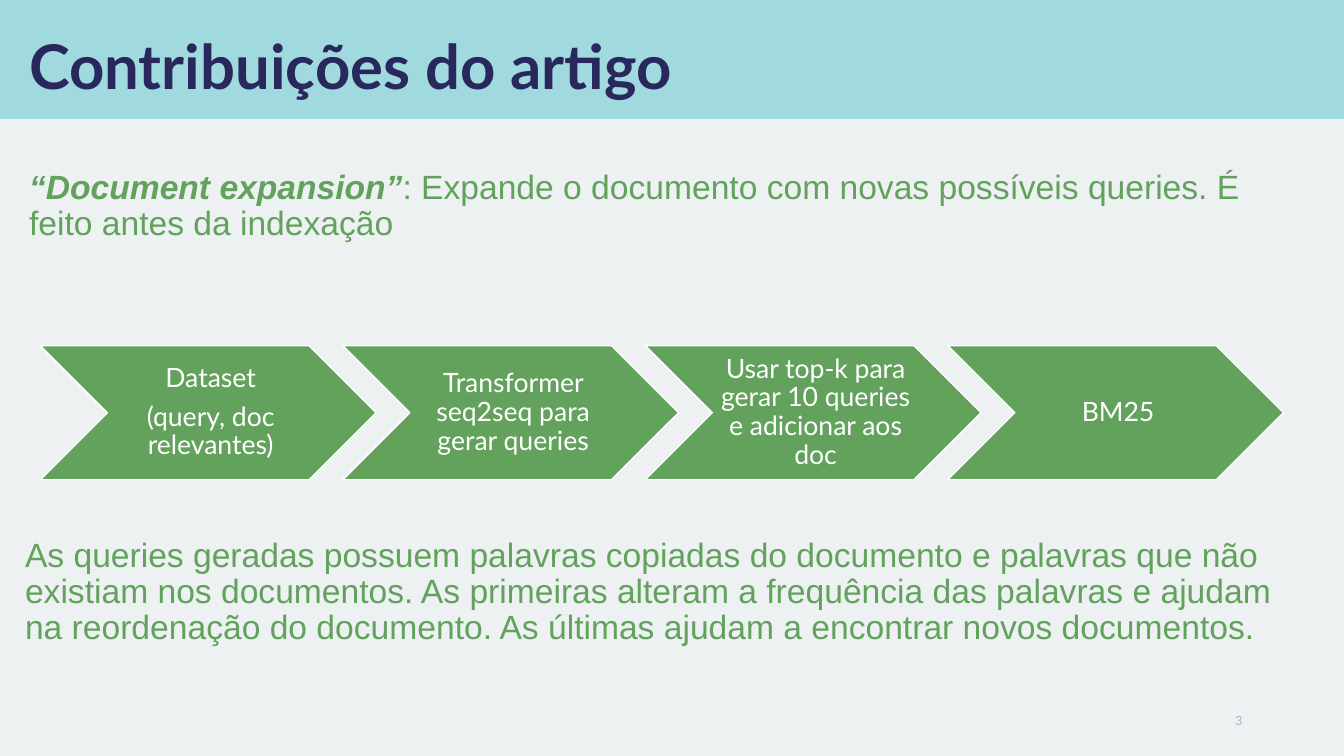
from dataclasses import dataclass, field

from pptx import Presentation
from pptx.dml.color import RGBColor
from pptx.enum.shapes import MSO_SHAPE as Preset
from pptx.enum.text import MSO_ANCHOR as Anchor, PP_ALIGN as Align
from pptx.shapes.autoshape import Shape
from pptx.slide import Slide
from pptx.text.text import TextFrame
from pptx.util import Inches, Pt

MIST = RGBColor(0xED, 0xF1, 0xF2)
AQUA = RGBColor(0xA0, 0xDA, 0xDE)
NAVY = RGBColor(0x29, 0x28, 0x5D)
GREEN = RGBColor(0x62, 0xA2, 0x5D)
GREY = RGBColor(0xA7, 0xBB, 0xC0)
WHITE = RGBColor(0xFF, 0xFF, 0xFF)


@dataclass(frozen=True)
class Box:
    left: float
    top: float
    width: float
    height: float

    def lengths(self) -> tuple[Inches, ...]:
        return tuple(Inches(n) for n in (self.left, self.top, self.width, self.height))


@dataclass(frozen=True)
class Style:
    size: float
    color: RGBColor
    font: dict = field(default_factory=dict)
    paragraph: dict = field(default_factory=dict)
    frame: dict = field(default_factory=dict)


@dataclass(frozen=True)
class Span:
    text: str
    font: dict = field(default_factory=dict)


@dataclass(frozen=True)
class TextBlock:
    box: Box
    style: Style
    spans: list[Span]


TITLE = Style(44, NAVY, {"name": "Lato", "bold": True},
              {"line_spacing": 0.9}, {"vertical_anchor": Anchor.BOTTOM})
BODY = Style(24, GREEN, {"name": "Arial"},
             {"line_spacing": 0.9, "space_before": Pt(10)})
PAGE_NUMBER = Style(9, GREY, {"name": "Lato"},
                    {"alignment": Align.RIGHT}, {"vertical_anchor": Anchor.MIDDLE})
STEP = Style(19, WHITE, {"name": "Lato"},
             {"alignment": Align.CENTER, "line_spacing": 0.9, "space_after": Pt(6.65)},
             {"vertical_anchor": Anchor.MIDDLE, "margin_left": Inches(0.08),
              "margin_top": Inches(0.03), "margin_right": Inches(0.03),
              "margin_bottom": Inches(0.03)})

HEADER = Box(0, 0, 13.33, 1.18)
FIRST_STEP = Box(0.4, 3.43, 3.33, 1.33)
STEP_PITCH = 3.0

STEPS = [
    ["Dataset", "(query, doc relevantes)"],
    ["Transformer seq2seq para gerar queries"],
    ["Usar top-k para gerar 10 queries e adicionar aos doc"],
    ["BM25"],
]

TEXT_BLOCKS = [
    TextBlock(Box(0.19, 0.27, 7, 0.8), TITLE, [Span("Contribuições do artigo")]),
    TextBlock(Box(9.42, 6.95, 3, 0.4), PAGE_NUMBER, [Span("3")]),
    TextBlock(Box(0.19, 1.64, 12.79, 1.14), BODY, [
        Span("“Document expansion”", {"bold": True, "italic": True}),
        Span(": Expande o documento com novas possíveis queries. "
             "É feito antes da indexação"),
    ]),
    TextBlock(Box(0.15, 5.29, 12.79, 1.95), BODY, [
        Span("As queries geradas possuem palavras copiadas do documento e palavras "
             "que não existiam nos documentos. As primeiras alteram a frequência das "
             "palavras e ajudam na reordenação do documento. As últimas ajudam a "
             "encontrar novos documentos."),
    ]),
]


def apply(target: object, values: dict) -> None:
    for name, value in values.items():
        setattr(target, name, value)


def write(frame: TextFrame, paragraphs: list[list[Span]], style: Style) -> None:
    apply(frame, {"word_wrap": True, **style.frame})
    for index, spans in enumerate(paragraphs):
        paragraph = frame.add_paragraph() if index else frame.paragraphs[0]
        apply(paragraph, style.paragraph)
        for span in spans:
            run = paragraph.add_run()
            run.text = span.text
            apply(run.font, {"size": Pt(style.size), **style.font, **span.font})
            run.font.color.rgb = style.color


def add_filled(slide: Slide, preset: Preset, box: Box, color: RGBColor) -> Shape:
    shape = slide.shapes.add_shape(preset, *box.lengths())
    shape.shadow.inherit = False
    shape.fill.solid()
    shape.fill.fore_color.rgb = color
    shape.line.fill.background()
    return shape


def add_step(slide: Slide, index: int, lines: list[str]) -> None:
    box = Box(FIRST_STEP.left + index * STEP_PITCH, FIRST_STEP.top,
              FIRST_STEP.width, FIRST_STEP.height)
    chevron = add_filled(slide, Preset.CHEVRON, box, GREEN)
    chevron.line.color.rgb = WHITE
    chevron.line.width = Pt(1)
    write(chevron.text_frame, [[Span(line)] for line in lines], STEP)


def add_text(slide: Slide, block: TextBlock) -> None:
    frame = slide.shapes.add_textbox(*block.box.lengths()).text_frame
    write(frame, [block.spans], block.style)


deck = Presentation()
deck.slide_width = Inches(13.33)
deck.slide_height = Inches(7.5)
slide = deck.slides.add_slide(deck.slide_layouts[6])
slide.background.fill.solid()
slide.background.fill.fore_color.rgb = MIST

add_filled(slide, Preset.RECTANGLE, HEADER, AQUA)
for text_block in TEXT_BLOCKS:
    add_text(slide, text_block)
for position, step_lines in enumerate(STEPS):
    add_step(slide, position, step_lines)

deck.save("out.pptx")
